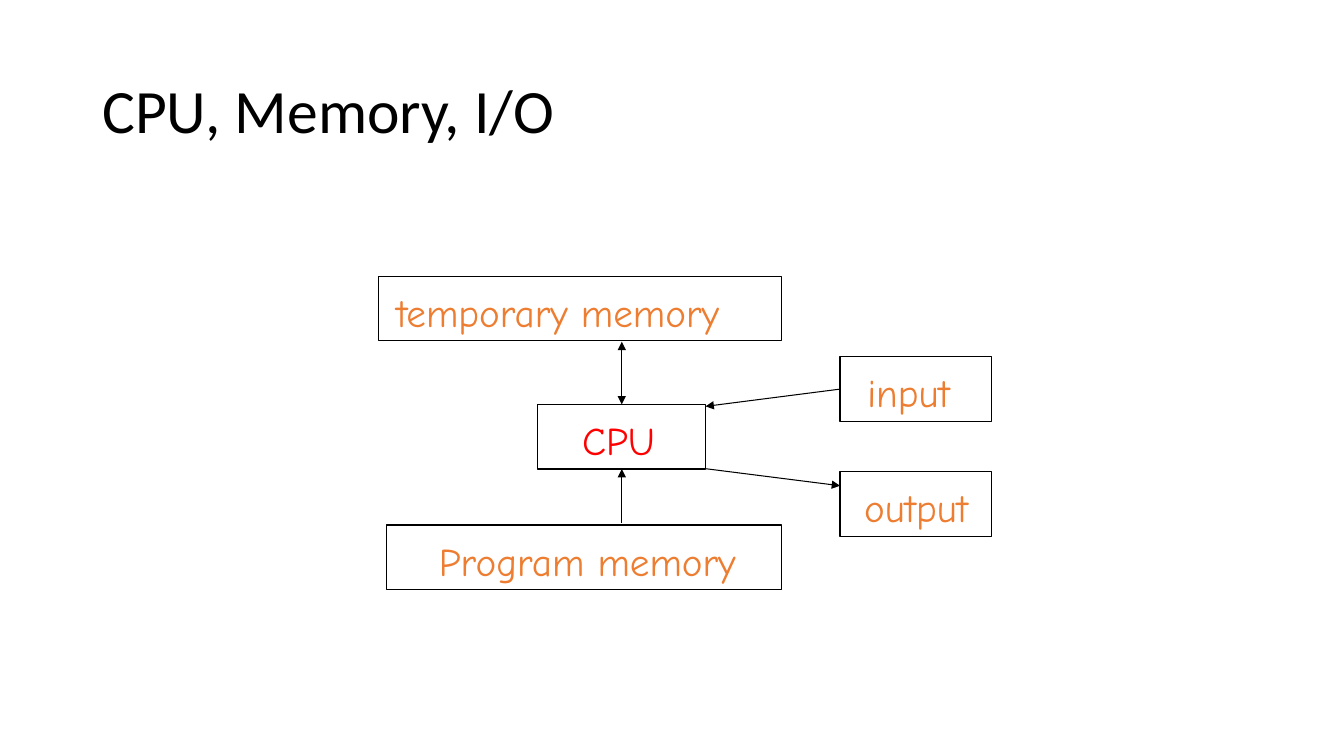
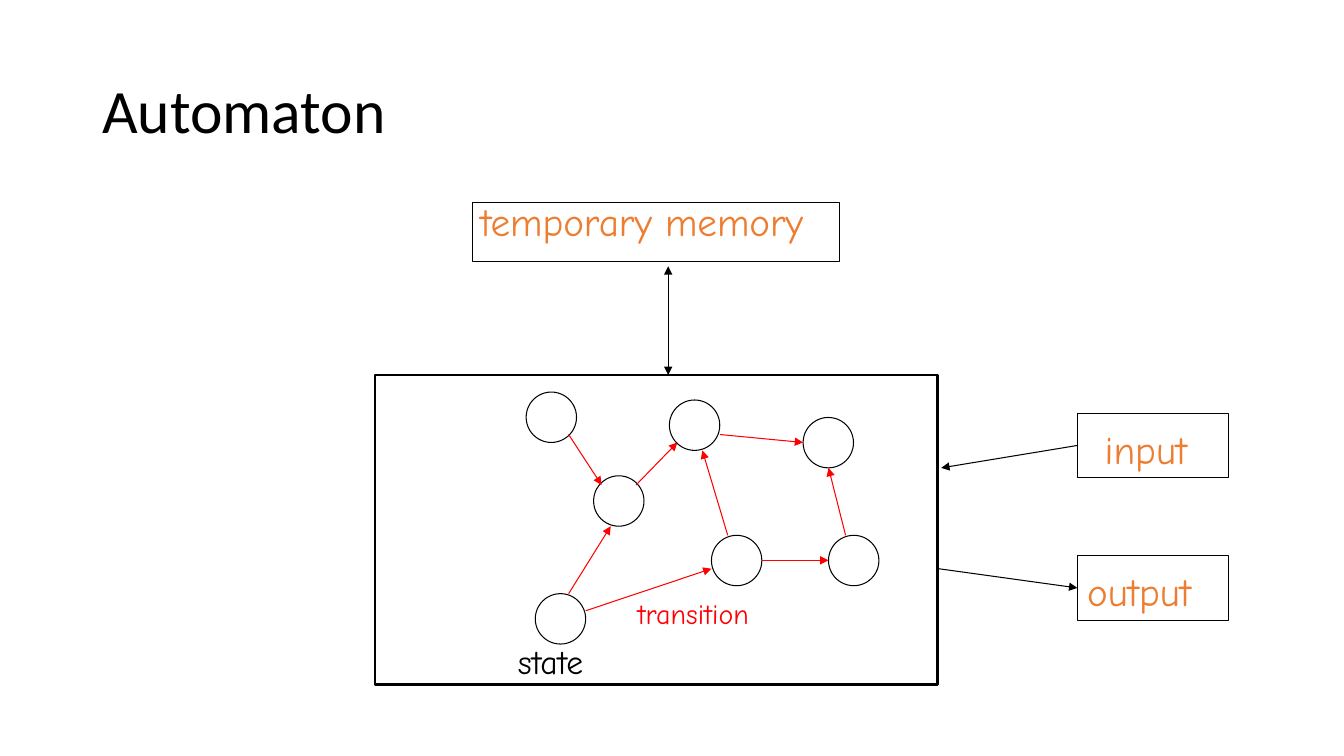
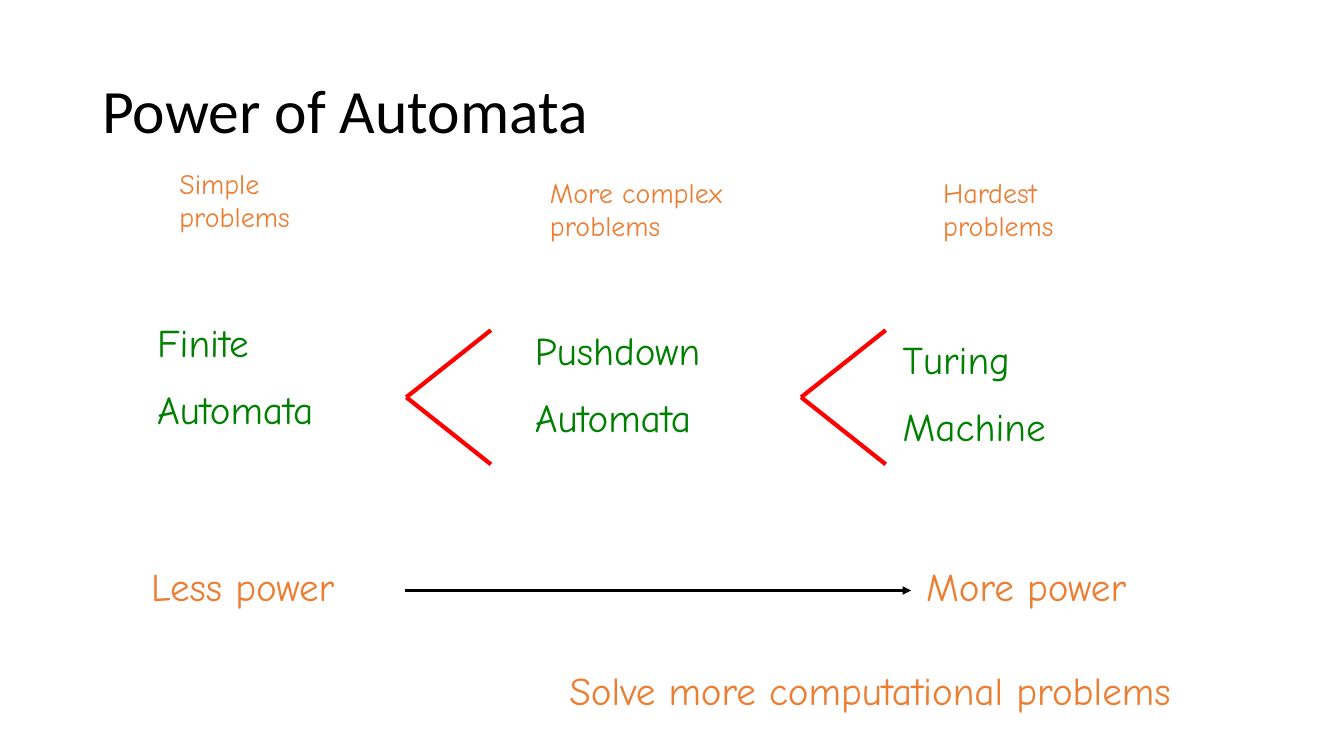
"""Build three slides on processors, automata and their power."""
import lxml.etree
import pptx
import pptx.dml.color
import pptx.enum.shapes
import pptx.enum.text
import pptx.oxml.ns
import pptx.util

Cm = pptx.util.Cm
Pt = pptx.util.Pt
RGBColor = pptx.dml.color.RGBColor
Shapes = pptx.enum.shapes.MSO_SHAPE
Anchor = pptx.enum.text.MSO_ANCHOR
qn = pptx.oxml.ns.qn

BLACK = RGBColor(0x00, 0x00, 0x00)
RED = RGBColor(0xFF, 0x00, 0x00)
ORANGE = RGBColor(0xED, 0x7D, 0x31)
GREEN = RGBColor(0x00, 0x80, 0x00)

TITLE_FONT = {"name": "Calibri", "size": Pt(44)}
BODY_FONT = {"name": "Comic Neue", "size": Pt(28)}
SMALL_FONT = {"name": "Comic Neue", "size": Pt(20)}
STATE_FONT = {"name": "Comic Neue", "size": Pt(24)}

THIN, MEDIUM, THICK = 0.75, 2, 3
BOX_HEIGHT = 1.63
PORT_WIDTH = 3.81
CIRCLE = 1.27
TOP, LEFT, BOTTOM = 0, 1, 2


def set_values(target, values):
    """Set each named format value on the target."""
    for name, value in values.items():
        setattr(target, name, value)


def write_text(shape, lines, font, color, gap=0, frame_values=None):
    """Write one left-aligned paragraph per line, with a gap between them."""
    frame = shape.text_frame
    values = {"word_wrap": True, "vertical_anchor": Anchor.TOP}
    set_values(frame, {**values, **(frame_values or {})})
    for index, line in enumerate(lines):
        para = frame.paragraphs[0] if index == 0 else frame.add_paragraph()
        para.alignment = pptx.enum.text.PP_ALIGN.LEFT
        if index and gap:
            para.space_before = Pt(gap)
        span = para.add_run()
        span.text = line
        set_values(span.font, font)
        span.font.color.rgb = color


def add_label(slide, place, lines, font, color, gap=0, frame_values=None):
    """Add a text box at left, top, width and height."""
    box = slide.shapes.add_textbox(*map(Cm, place))
    write_text(box, lines, font, color, gap, frame_values)
    return box


def add_outline(slide, kind, place, width=THIN):
    """Add an unfilled shape with a black outline."""
    shape = slide.shapes.add_shape(kind, *map(Cm, place))
    shape.shadow.inherit = False
    shape.fill.background()
    shape.line.color.rgb = BLACK
    shape.line.width = Pt(width)
    return shape


def add_unit(slide, place, text, inset, top=0.3, color=ORANGE):
    """Add a rectangle named by the text inside it."""
    unit = add_outline(slide, Shapes.RECTANGLE, place)
    margins = {"margin_left": Cm(inset), "margin_top": Cm(top),
               "margin_right": Cm(0), "margin_bottom": Cm(0)}
    write_text(unit, [text], BODY_FONT, color, frame_values=margins)
    return unit


def add_line(slide, start, end, color=BLACK, width=THIN, heads=("tailEnd",)):
    """Draw a line between ends given as (x, y) or as (shape, side)."""
    joined = [not isinstance(point[0], (int, float)) for point in (start, end)]
    spots = [(0, 0) if join else point for join, point in zip(joined, (start, end))]
    line = slide.shapes.add_connector(
        pptx.enum.shapes.MSO_CONNECTOR.STRAIGHT, *(Cm(n) for spot in spots for n in spot))
    if joined[0]:
        line.begin_connect(*start)
    if joined[1]:
        line.end_connect(*end)
    line.line.color.rgb = color
    line.line.width = Pt(width)
    properties = line.element.spPr
    for head in heads:
        lxml.etree.SubElement(properties.find(qn("a:ln")), qn("a:" + head), type="triangle")
    lxml.etree.SubElement(properties, qn("a:effectLst"))


def add_slide(deck, title):
    """Add a blank slide with the shared title style."""
    slide = deck.slides.add_slide(deck.slide_layouts[6])
    box = add_label(slide, (2.33, 1.02, 29.21, 3.68), [title], TITLE_FONT, BLACK,
                    frame_values={"vertical_anchor": Anchor.MIDDLE})
    box.text_frame.paragraphs[0].line_spacing = 0.9
    return slide


def build_computer(deck):
    """Show the processor with its memories and ports."""
    slide = add_slide(deck, "CPU, Memory, I/O")
    cpu = add_unit(slide, (13.55, 10.19, 4.24, BOX_HEIGHT), "CPU", 1.12, color=RED)
    add_unit(slide, (9.53, 6.96, 10.16, BOX_HEIGHT), "temporary memory", 0.46)
    source = add_unit(slide, (21.17, 8.99, PORT_WIDTH, BOX_HEIGHT), "input", 0.69)
    add_unit(slide, (21.17, 11.89, PORT_WIDTH, BOX_HEIGHT), "output", 0.61)
    add_unit(slide, (9.74, 13.23, 9.95, BOX_HEIGHT), "Program memory", 1.32)
    add_line(slide, (15.67, 8.61), (cpu, TOP), heads=("headEnd", "tailEnd"))
    add_line(slide, (17.78, 10.24), (source, LEFT), heads=("headEnd",))
    add_line(slide, (17.78, 11.81), (21.17, 12.24))
    add_line(slide, (cpu, BOTTOM), (15.67, 13.18), heads=("headEnd",))


def build_automaton(deck):
    """Show states and transitions in place of the processor."""
    slide = add_slide(deck, "Automaton")
    add_unit(slide, (11.91, 5.11, 9.25, 1.47), "temporary memory", 0.2, top=-0.13)
    source = add_unit(slide, (27.15, 10.41, PORT_WIDTH, BOX_HEIGHT), "input", 0.69)
    target = add_unit(slide, (27.15, 14, PORT_WIDTH, BOX_HEIGHT), "output", 0.25)
    add_line(slide, (16.84, 6.71), (16.84, 9.45), heads=("headEnd", "tailEnd"))
    add_line(slide, (23.72, 11.79), (source, LEFT), heads=("headEnd",))
    add_line(slide, (23.65, 14.33), (target, LEFT))
    add_outline(slide, Shapes.RECTANGLE, (9.45, 9.45, 14.17, 7.8), MEDIUM)
    states = [(13.26, 9.88), (14.96, 11.99), (16.87, 10.08), (17.93, 13.49),
              (20.24, 10.52), (13.49, 14.96), (20.88, 13.49)]
    for left, top in states:
        add_outline(slide, Shapes.OVAL, (left, top, CIRCLE, CIRCLE))
    transitions = [
        ((14.33, 10.95), (15.16, 12.22)),
        ((16.03, 12.22), (17.07, 11.15)),
        ((18.14, 10.95), (20.24, 11.15)),
        ((18.34, 13.49), (17.7, 11.35)),
        ((14.33, 14.96), (15.39, 13.26)),
        ((14.76, 15.39), (17.93, 14.33)),
        ((19.2, 14.12), (20.88, 14.12)),
        ((21.31, 13.49), (20.88, 11.79)),
    ]
    for start, end in transitions:
        add_line(slide, start, end, RED)
    add_label(slide, (12.8, 16.03, 2.62, 1.27), ["state"], STATE_FONT, BLACK)
    add_label(slide, (15.82, 14.91, 3.73, 1.09), ["transition"], SMALL_FONT, RED)


def build_power(deck):
    """Rank the kinds of automata by power."""
    slide = add_slide(deck, "Power of Automata")
    machines = [(3.71, 7.9, "Finite", "Automata"),
                (13.23, 8.1, "Pushdown", "Automata"),
                (22.5, 8.33, "Turing", "Machine")]
    for left, top, *lines in machines:
        add_label(slide, (left, top, 7.14, 3.23), lines, BODY_FONT, GREEN, gap=14)
    tip_y, reach, rise = 10.01, 2.13, 1.69
    for tip_x in (10.24, 20.19):
        for arm in (-rise, rise):
            add_line(slide, (tip_x, tip_y), (tip_x + reach, tip_y + arm), RED, THICK, ())
    add_line(slide, (10.21, 14.88), (22.96, 14.88), width=MEDIUM)
    captions = [(3.56, 14.05, 8.03, "Less power"),
                (23.09, 14.05, 8.56, "More power"),
                (14.1, 16.66, 18.14, "Solve more computational problems")]
    for left, top, width, text in captions:
        add_label(slide, (left, top, width, 1.45), [text], BODY_FONT, ORANGE)
    problems = [(4.27, 4.06, 5.05, "Simple"),
                (13.61, 4.29, 7.39, "More complex"),
                (23.52, 4.29, 5.05, "Hardest")]
    for left, top, width, degree in problems:
        add_label(slide, (left, top, width, 1.96), [degree, "problems"], SMALL_FONT, ORANGE)


def main():
    """Build the deck and save it."""
    deck = pptx.Presentation()
    set_values(deck, {"slide_width": Cm(33.87), "slide_height": Cm(19.05)})
    build_computer(deck)
    build_automaton(deck)
    build_power(deck)
    deck.save("out.pptx")


if __name__ == "__main__":
    main()
